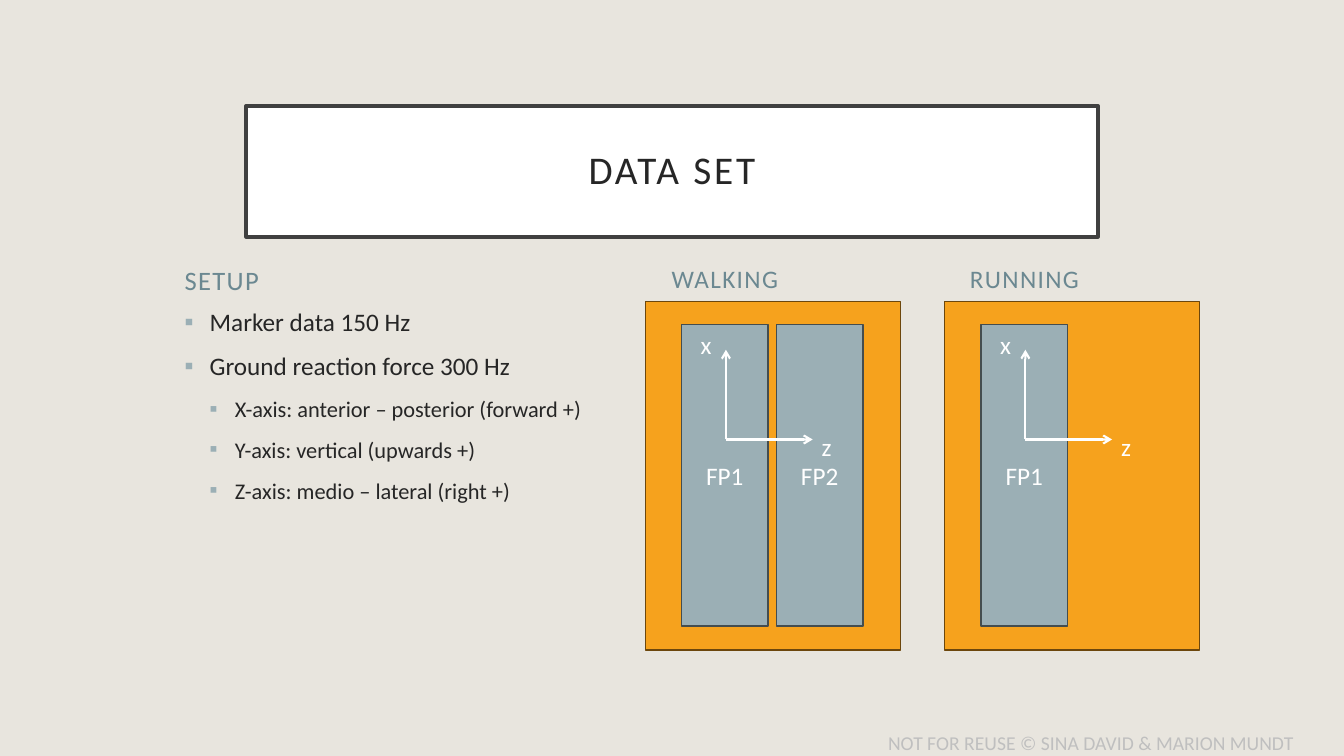
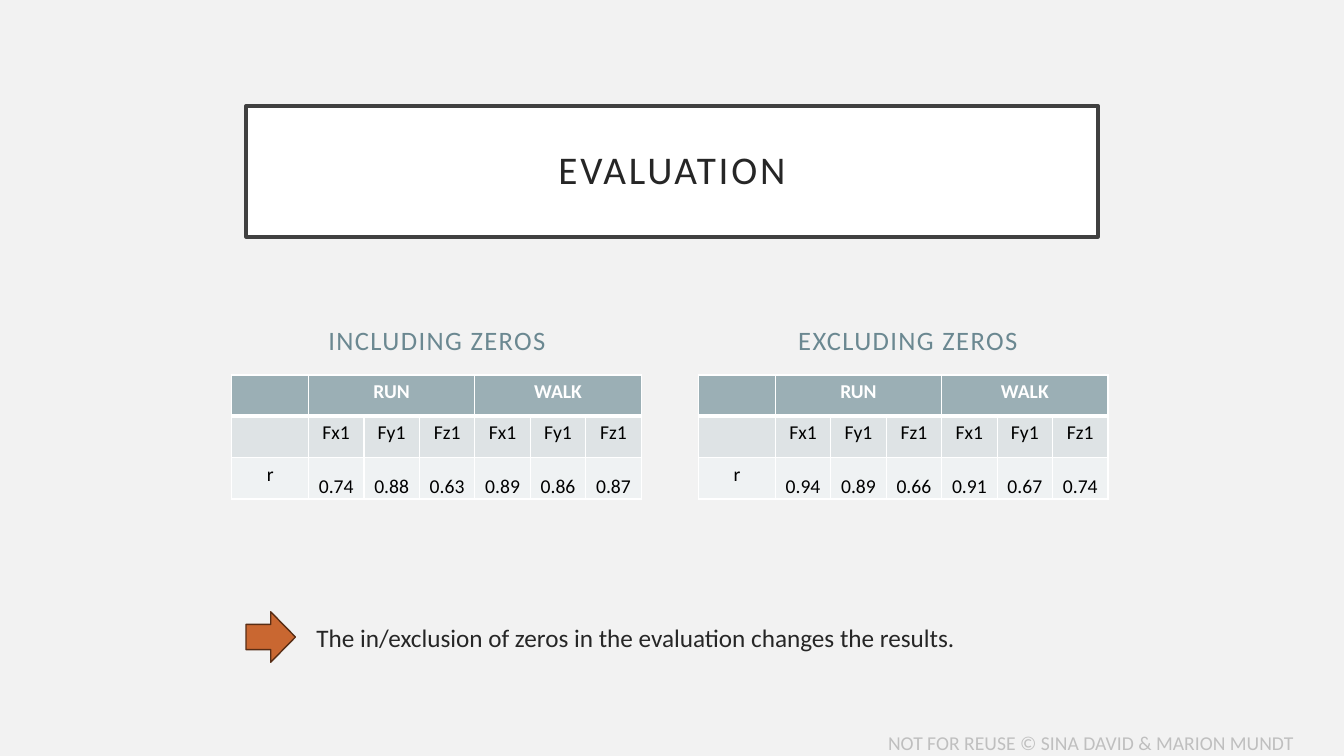
from lxml import etree
from pptx import Presentation
from pptx.dml.color import RGBColor
from pptx.enum.shapes import MSO_CONNECTOR, MSO_SHAPE
from pptx.enum.text import MSO_ANCHOR, MSO_AUTO_SIZE, PP_ALIGN
from pptx.oxml.ns import qn
from pptx.util import Inches, Pt

RECTANGLE, RIGHT_ARROW = MSO_SHAPE.RECTANGLE, MSO_SHAPE.RIGHT_ARROW
STRAIGHT = MSO_CONNECTOR.STRAIGHT
TOP, MIDDLE, BOTTOM = MSO_ANCHOR.TOP, MSO_ANCHOR.MIDDLE, MSO_ANCHOR.BOTTOM
LEFT, CENTER = PP_ALIGN.LEFT, PP_ALIGN.CENTER

FONT = "Calibri"
WHITE = RGBColor(0xFF, 0xFF, 0xFF)
BLACK = RGBColor(0x00, 0x00, 0x00)
INK = RGBColor(0x26, 0x26, 0x26)
FRAME = RGBColor(0x40, 0x40, 0x40)
FOOTER_GRAY = RGBColor(0xBF, 0xBF, 0xBF)
SAND = RGBColor(0xE8, 0xE5, 0xDE)
PALE = RGBColor(0xF2, 0xF2, 0xF2)
TEAL = RGBColor(0x6B, 0x88, 0x91)
STEEL = RGBColor(0x9B, 0xAF, 0xB5)
STEEL_EDGE = RGBColor(0x44, 0x4D, 0x4F)
STEEL_LIGHT = RGBColor(0xDE, 0xE3, 0xE5)
STEEL_PALE = RGBColor(0xEF, 0xF2, 0xF3)
ORANGE = RGBColor(0xF6, 0xA2, 0x1D)
ORANGE_EDGE = RGBColor(0x6C, 0x47, 0x0D)
RUST = RGBColor(0xC9, 0x67, 0x31)
RUST_EDGE = RGBColor(0x58, 0x2D, 0x15)

FOOTER = "NOT FOR REUSE © SINA DAVID & MARION MUNDT"
COMPARISON_LAYOUT = 4
LEFT_HEADING, LEFT_BODY, RIGHT_HEADING = 1, 2, 3


def place(shape, left, top, width, height):
    shape.left, shape.top = Inches(left), Inches(top)
    shape.width, shape.height = Inches(width), Inches(height)


def paint(shape, fill, edge, weight=1):
    shape.shadow.inherit = False
    shape.fill.solid()
    shape.fill.fore_color.rgb = fill
    shape.line.color.rgb = edge
    shape.line.width = Pt(weight)


def format_runs(paragraph, size, color, align=LEFT, bold=False, tracking=0):
    """Style a paragraph's runs; tracking is letter spacing in points."""
    paragraph.alignment = align
    for run in paragraph.runs:
        run.font.name = FONT
        run.font.size = Pt(size)
        run.font.bold = bold
        run.font.color.rgb = color
        if tracking:
            run.font._element.set("spc", str(tracking * 100))


def add_bullet(paragraph, level):
    paragraph.level = level
    properties = paragraph._p.get_or_add_pPr()
    properties.set("marL", str(Inches(0.25 * (level + 1))))
    properties.set("indent", str(Inches(-0.25)))
    color = etree.SubElement(properties, qn("a:buClr"))
    etree.SubElement(color, qn("a:srgbClr"), val=str(STEEL))
    etree.SubElement(properties, qn("a:buFont"), typeface=FONT)
    etree.SubElement(properties, qn("a:buChar"), char="▪")


def style_cell(cell, fill, top=1, bottom=1):
    """Fill a cell and give it white borders; top and bottom are in points."""
    properties = cell._tc.get_or_add_tcPr()
    for side, weight in (("L", 1), ("R", 1), ("T", top), ("B", bottom)):
        border = etree.SubElement(properties, qn("a:ln" + side), w=str(Pt(weight)))
        solid = etree.SubElement(border, qn("a:solidFill"))
        etree.SubElement(solid, qn("a:srgbClr"), val=str(WHITE))
    cell.fill.solid()
    cell.fill.fore_color.rgb = fill


class Deck:
    """Holds the shared style and the slide being built."""

    def __init__(self):
        self.presentation = Presentation()
        self.presentation.slide_width = Inches(13.33)
        self.presentation.slide_height = Inches(7.5)
        self.slide = None

    def start_slide(self, title, background):
        layout = self.presentation.slide_layouts[COMPARISON_LAYOUT]
        self.slide = self.presentation.slides.add_slide(layout)
        self.slide.background.fill.solid()
        self.slide.background.fill.fore_color.rgb = background
        self.label(self.slide.shapes, FOOTER, (8.71, 7.2, 4.71, 0.34), 14, FOOTER_GRAY)

        banner = self.slide.shapes.title
        place(banner, 2.44, 1.05, 8.45, 1.3)
        banner.fill.solid()
        banner.fill.fore_color.rgb = WHITE
        banner.line.color.rgb = FRAME
        banner.line.width = Pt(2.5)
        frame = banner.text_frame
        frame.text = title
        frame.auto_size = MSO_AUTO_SIZE.NONE
        frame.vertical_anchor = MIDDLE
        frame.margin_left = frame.margin_right = Inches(0.2)
        frame.margin_top = frame.margin_bottom = Inches(0.2)
        frame.paragraphs[0].line_spacing = 0.9
        format_runs(frame.paragraphs[0], 28, INK, CENTER, tracking=2)

    def body(self, slot, box):
        """Move the body placeholder with this index and return its frame."""
        placeholder = next(p for p in self.slide.placeholders
                           if p.placeholder_format.idx == slot)
        place(placeholder, *box)
        placeholder.text_frame.auto_size = MSO_AUTO_SIZE.NONE
        return placeholder.text_frame

    def heading(self, text, box, slot=None, size=19, align=CENTER):
        """Write a heading in a body placeholder, or in a text box without one."""
        if slot is None:
            frame = self.slide.shapes.add_textbox(*map(Inches, box)).text_frame
            frame.word_wrap = True
        else:
            frame = self.body(slot, box)
        frame.text = text
        frame.vertical_anchor = BOTTOM
        frame.paragraphs[0].space_before = Pt(0)
        format_runs(frame.paragraphs[0], size, TEAL, align, tracking=1)

    def bullets(self, slot, box, items):
        frame = self.body(slot, box)
        frame.vertical_anchor = TOP
        frame.text = "\n".join(text for text, _ in items)
        for index, (paragraph, (_, level)) in enumerate(zip(frame.paragraphs, items)):
            add_bullet(paragraph, level)
            paragraph.space_before = Pt(10 if index else 0)
            format_runs(paragraph, 18 - 2 * level, INK)

    def label(self, shapes, text, box, size=18, color=WHITE, wrap=False):
        frame = shapes.add_textbox(*map(Inches, box)).text_frame
        frame.text = text
        frame.word_wrap = wrap
        format_runs(frame.paragraphs[0], size, color)

    def block(self, shapes, kind, box, fill, edge, text=""):
        block = shapes.add_shape(kind, *map(Inches, box))
        paint(block, fill, edge)
        if text:
            block.text_frame.text = text
            block.text_frame.vertical_anchor = MIDDLE
            format_runs(block.text_frame.paragraphs[0], 18, WHITE, CENTER)

    def axis(self, shapes, start, end):
        axis = shapes.add_connector(STRAIGHT, *map(Inches, start + end))
        axis.line.color.rgb = WHITE
        axis.line.width = Pt(1.5)
        etree.SubElement(axis.line._get_or_add_ln(), qn("a:tailEnd"), type="arrow")
        etree.SubElement(axis._element.spPr, qn("a:effectLst"))

    def walkway(self, left, plates):
        """Draw a walkway with its force plates and the x and z axes."""
        shapes = self.slide.shapes.add_group_shape().shapes
        self.block(shapes, RECTANGLE, (left, 2.99, 2.53, 3.46), ORANGE, ORANGE_EDGE)
        for index, plate in enumerate(plates):
            box = (left + 0.36 + 0.94 * index, 3.22, 0.86, 2.99)
            self.block(shapes, RECTANGLE, box, STEEL, STEEL_EDGE, plate)
        origin = (left + 0.8, 4.36)
        self.axis(shapes, origin, (left + 0.8, 3.47))
        self.axis(shapes, origin, (left + 1.66, 4.36))
        self.label(shapes, "x", (left + 0.45, 3.22, 0.33, 0.4))
        self.label(shapes, "z", (left + 1.65, 4.23, 0.31, 0.4))

    def correlation_table(self, left, values):
        box = map(Inches, (left, 3.72, 4.07, 1.22))
        table = self.slide.shapes.add_table(3, 7, *box).table
        for index, column in enumerate(table.columns):
            column.width = Inches(0.55 if index else 0.76)
        for row in table.rows:
            row.height = Inches(0.41)
        rows = (("", "RUN", "", "", "WALK", "", ""),
                ("",) + ("Fx1", "Fy1", "Fz1") * 2,
                ("r",) + values)
        styles = ((STEEL, 1, 3), (STEEL_LIGHT, 3, 1), (STEEL_PALE, 1, 1))
        for r, (texts, style) in enumerate(zip(rows, styles)):
            for c, text in enumerate(texts):
                cell = table.cell(r, c)
                style_cell(cell, *style)
                cell.text = text
                format_runs(cell.text_frame.paragraphs[0], 14,
                            BLACK if r else WHITE, CENTER, bold=r == 0)
                if r == 2 and c:
                    cell.vertical_anchor = BOTTOM
                    cell.margin_left = cell.margin_right = Inches(0.01)
                    cell.margin_top, cell.margin_bottom = Inches(0.01), 0
        for first in (1, 4):
            table.cell(0, first).merge(table.cell(0, first + 2))

    def remove_empty_placeholders(self):
        for placeholder in list(self.slide.placeholders):
            if not placeholder.text_frame.text:
                placeholder._element.getparent().remove(placeholder._element)


def build_data_set(deck):
    deck.start_slide("DATA SET", SAND)
    deck.heading("SETUP", (1.73, 2.53, 1.06, 0.46), LEFT_HEADING, align=LEFT)
    deck.bullets(LEFT_BODY, (1.73, 2.99, 4.67, 3.97), (
        ("Marker data 150 Hz", 0),
        ("Ground reaction force 300 Hz", 0),
        ("X-axis: anterior – posterior (forward +)", 1),
        ("Y-axis: vertical (upwards +)", 1),
        ("Z-axis: medio – lateral (right +)", 1)))
    for gait, left, slot, plates in (("WALKING", 6.4, RIGHT_HEADING, ("FP1", "FP2")),
                                     ("RUNNING", 9.37, None, ("FP1",))):
        deck.heading(gait, (left, 2.57, 1.58, 0.39), slot, size=18)
        deck.walkway(left, plates)
    deck.remove_empty_placeholders()


def build_evaluation(deck):
    deck.start_slide("EVALUATION", PALE)
    deck.heading("INCLUDING ZEROS", (2, 2.81, 4.67, 0.77), LEFT_HEADING)
    deck.heading("EXCLUDING ZEROS", (6.67, 2.81, 4.67, 0.77), RIGHT_HEADING)
    deck.correlation_table(2.3, ("0.74", "0.88", "0.63", "0.89", "0.86", "0.87"))
    deck.correlation_table(6.93, ("0.94", "0.89", "0.66", "0.91", "0.67", "0.74"))
    deck.block(deck.slide.shapes, RIGHT_ARROW, (2.44, 6.07, 0.49, 0.5), RUST, RUST_EDGE)
    deck.label(deck.slide.shapes,
               "The in/exclusion of zeros in the evaluation changes the results.",
               (3.04, 6.12, 9.03, 0.4), color=INK, wrap=True)
    deck.remove_empty_placeholders()


def main():
    deck = Deck()
    build_data_set(deck)
    build_evaluation(deck)
    deck.presentation.save("out.pptx")


if __name__ == "__main__":
    main()
